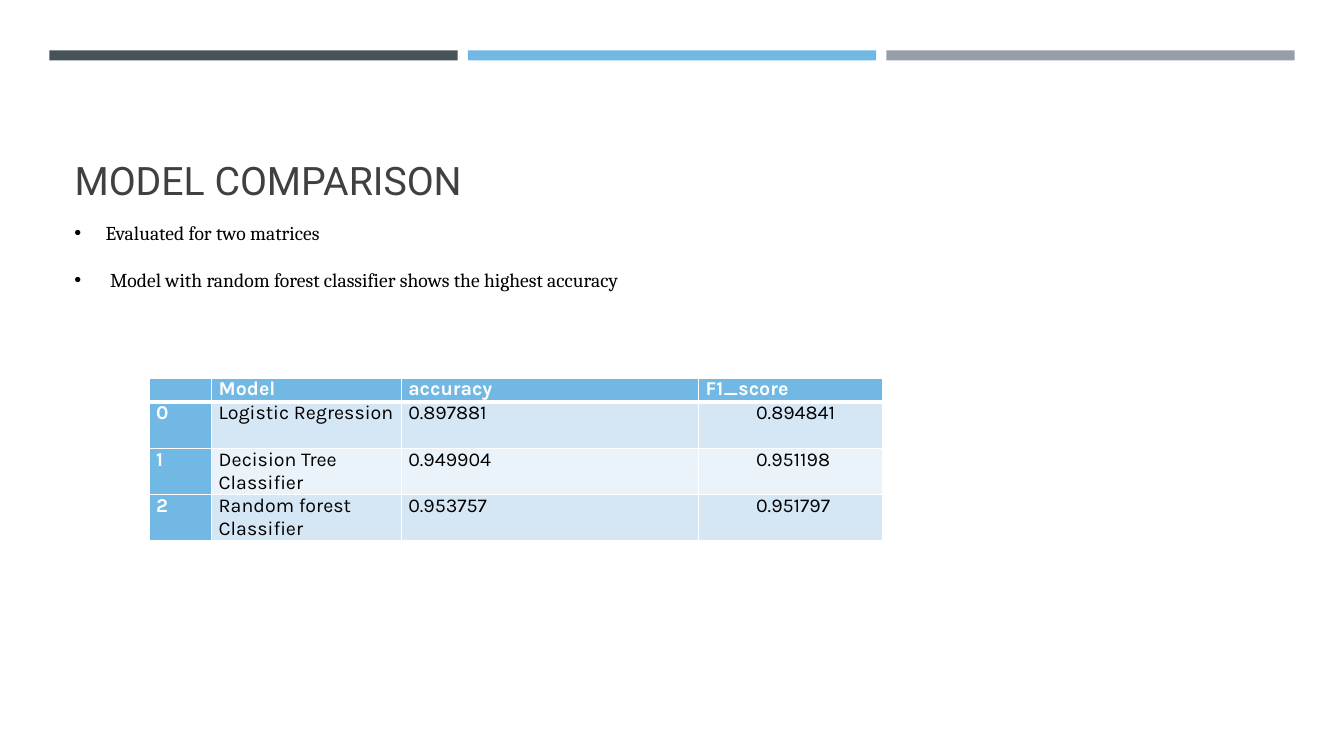
from lxml import etree
from pptx import Presentation
from pptx.dml.color import RGBColor
from pptx.enum.shapes import MSO_SHAPE
from pptx.enum.text import MSO_ANCHOR, PP_ALIGN
from pptx.oxml.ns import qn
from pptx.util import Inches, Pt

RECT = MSO_SHAPE.RECTANGLE
TOP, BOTTOM = MSO_ANCHOR.TOP, MSO_ANCHOR.BOTTOM
LEFT = PP_ALIGN.LEFT
COLORS = {"slate": "465359", "blue": "71B9E4", "gray": "969FA7",
          "title": "404040", "black": "000000", "white": "FFFFFF",
          "band_dark": "D5E6F5", "band_light": "EBF3FA"}
BULLETS = ["Evaluated for two matrices",
           " Model with random forest classifier shows the highest accuracy"]
SCORES = [["", "Model", "accuracy", "F1_score"],
          ["0", "Logistic Regression", "0.897881", "0.894841"],
          ["1", "Decision Tree Classifier", "0.949904", "0.951198"],
          ["2", "Random forest Classifier", "0.953757", "0.951797"]]
COL_WIDTHS = [0.62, 1.88, 2.95, 1.82]


def color(name):
    """Return the named palette colour."""
    return RGBColor.from_string(COLORS[name])


def write(p, text, font="Karla", size=14, fill="black", bold=False):
    """Put one formatted run in a paragraph."""
    p.alignment = LEFT
    r = p.add_run()
    r.text = text
    r.font.name = font
    r.font.size = Pt(size)
    r.font.bold = bold
    r.font.color.rgb = color(fill)


def indent(p, left, first=0, bullet=None):
    """Set the paragraph's indents and optional bullet."""
    pPr = p._p.get_or_add_pPr()
    pPr.set("marL", str(Inches(left)))
    pPr.set("indent", str(Inches(first)))
    if bullet:
        etree.SubElement(pPr, qn("a:buFont")).set("typeface", "Arial")
        etree.SubElement(pPr, qn("a:buChar")).set("char", bullet)


def border(cell, side, width):
    """Draw one white edge of a table cell."""
    ln = etree.SubElement(cell._tc.get_or_add_tcPr(), qn("a:ln" + side))
    ln.set("w", str(Pt(width)))
    fill = etree.SubElement(ln, qn("a:solidFill"))
    etree.SubElement(fill, qn("a:srgbClr")).set("val", COLORS["white"])


def add_bars(slide, left, top, width, height, gap=0.1):
    """Place the three equal bars across the top."""
    names = ["slate", "blue", "gray"]
    bar = (width - gap * (len(names) - 1)) / len(names)
    for i, name in enumerate(names):
        sp = slide.shapes.add_shape(RECT, Inches(left + i * (bar + gap)),
                                    Inches(top), Inches(bar), Inches(height))
        sp.shadow.inherit = False
        sp.fill.solid()
        sp.fill.fore_color.rgb = color(name)
        sp.line.fill.background()


def add_title(slide, text, left, top, width, height):
    """Move and format the title placeholder."""
    sp = slide.shapes.title
    sp.left, sp.top = Inches(left), Inches(top)
    sp.width, sp.height = Inches(width), Inches(height)
    tf = sp.text_frame
    tf.word_wrap = True
    tf.vertical_anchor = BOTTOM
    write(tf.paragraphs[0], text, font="Roboto", size=28, fill="title")


def add_bullets(slide, items, left, top, width, height):
    """Place the bulleted findings."""
    sp = slide.shapes.add_textbox(Inches(left), Inches(top),
                                  Inches(width), Inches(height))
    tf = sp.text_frame
    tf.word_wrap = True
    tf.vertical_anchor = TOP
    for i, item in enumerate(items):
        p = tf.add_paragraph() if i else tf.paragraphs[0]
        p.space_before = Pt(17 if i else 0)
        indent(p, 0.31, -0.31, "•")
        write(p, item, font="Cambria")


def format_cell(cell, text, row, col):
    """Fill, border and write one score cell."""
    head = row == 0 or col == 0
    edges = {"L": 1, "R": 1, "T": 3 if row == 1 else 1,
             "B": 3 if row == 0 else 1}
    for side, width in edges.items():
        border(cell, side, width)
    cell.margin_left = cell.margin_right = Inches(0.07)
    cell.margin_top = cell.margin_bottom = 0
    cell.fill.solid()
    band = "band_dark" if row % 2 else "band_light"
    cell.fill.fore_color.rgb = color("blue" if head else band)
    p = cell.text_frame.paragraphs[0]
    if not text:
        etree.SubElement(p._p, qn("a:endParaRPr")).set("sz", "1400")
        return
    if row and col == 3:
        indent(p, 0.5)
    write(p, text, fill="white" if head else "black", bold=head)


def add_scores(slide, rows, left, top, width, line=0.23):
    """Place the model score table."""
    height = line * (2 * len(rows) - 1)
    frame = slide.shapes.add_table(len(rows), len(COL_WIDTHS), Inches(left),
                                   Inches(top), Inches(width), Inches(height))
    table = frame.table
    table.first_col = True
    for col, w in zip(table.columns, COL_WIDTHS):
        col.width = Inches(w)
    for i, values in enumerate(rows):
        table.rows[i].height = Inches(2 * line if i else line)
        for j, text in enumerate(values):
            format_cell(table.cell(i, j), text, i, j)


def main():
    """Build and save the slide."""
    prs = Presentation()
    prs.slide_width, prs.slide_height = Inches(13.33), Inches(7.5)
    slide = prs.slides.add_slide(prs.slide_layouts[5])
    add_bars(slide, 0.49, 0.5, 12.35, 0.1)
    add_title(slide, "MODEL COMPARISON", 0.64, 0.77, 12.06, 1.3)
    add_scores(slide, SCORES, 1.48, 3.75, sum(COL_WIDTHS))
    add_bullets(slide, BULLETS, 0.64, 2.14, 6.02, 1.35)
    prs.save("out.pptx")


if __name__ == "__main__":
    main()
